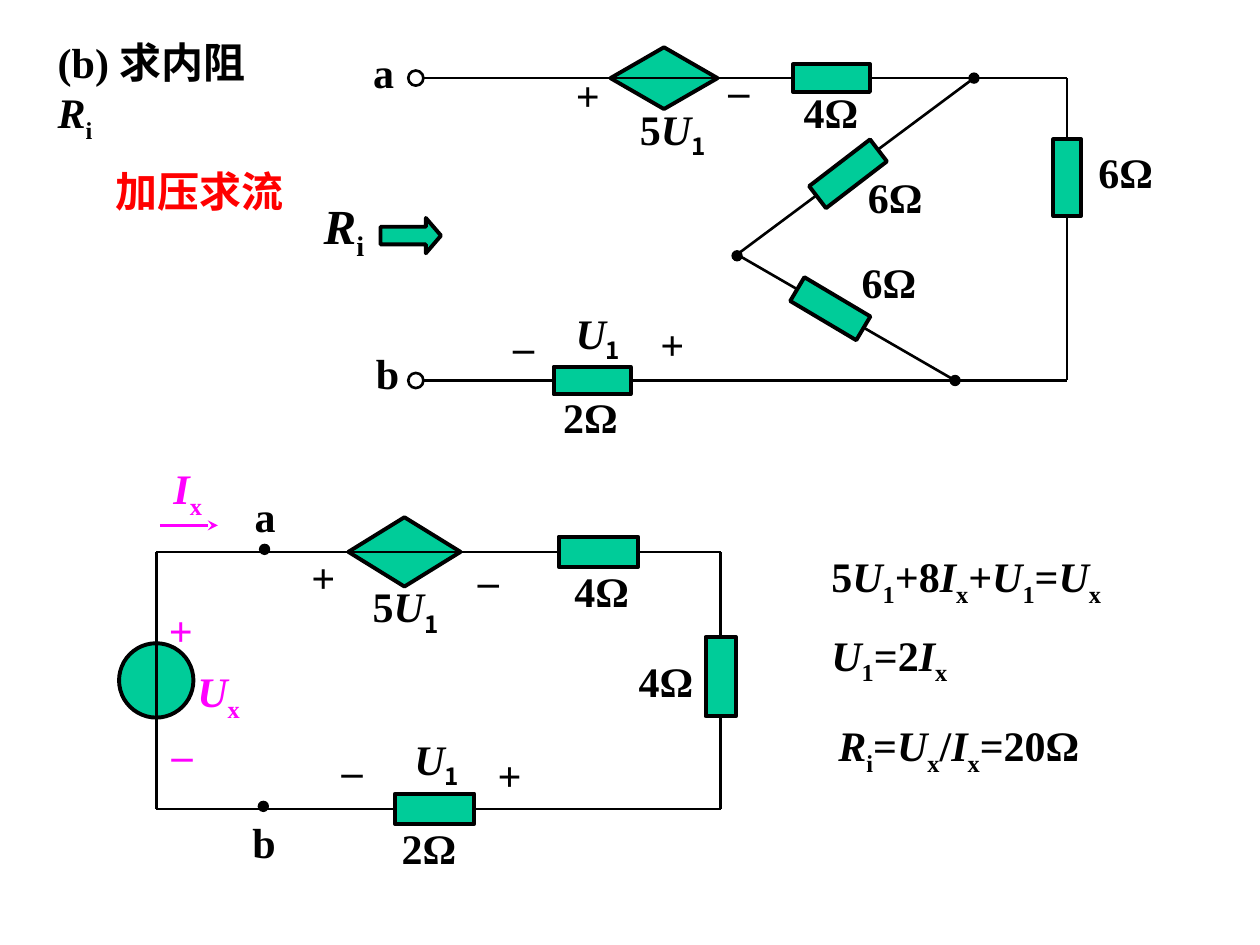
from itertools import groupby

from lxml import etree
from pptx import Presentation
from pptx.dml.color import RGBColor
from pptx.enum.shapes import MSO_CONNECTOR, MSO_SHAPE as SHAPE
from pptx.enum.text import MSO_ANCHOR, PP_ALIGN
from pptx.oxml.ns import qn
from pptx.util import Inches, Pt

BLACK = RGBColor(0, 0, 0)
RED = RGBColor(255, 0, 0)
MAGENTA = RGBColor(255, 0, 255)
GREEN = RGBColor(0, 204, 153)
SERIF, CJK = "Times New Roman", "Noto Sans CJK SC"
TOP, RIGHT, BOTTOM, LEFT = 0, 3, 2, 1  # connection sites of a rectangle

# Height levels of the two circuits and their outer columns
Y1, Y2, X_END = 0.62, 3.02, 8.47
Y3, Y4, X_START, X_END2 = 4.38, 6.42, 1.24, 5.72

# In the texts "_" lowers the next character; R, U and I are italic.
# Left aligned: text, left, top, width, height
HEADINGS = [
    (["(b) 求内阻\vR_i", "加压求流"], 0.36, 0.45, 2.04, 1.1),
    (["5U_1+8I_x+U_1=U_x", "U_1=2I_x"], 6.5, 4.36, 2.4, 1.1),
]
# Left aligned: text, left, top, width
VALUES = [
    ("2Ω", 4.37, 3.06, 0.72), ("4Ω", 6.28, 0.64, 0.77),
    ("6Ω", 6.79, 1.31, 0.73), ("6Ω", 6.74, 1.99, 0.78),
    ("6Ω", 8.62, 1.11, 0.83), ("5U_1", 4.98, 0.77, 0.78),
    ("U_1", 4.47, 2.39, 0.6),
    ("2Ω", 3.09, 6.48, 0.73), ("4Ω", 4.46, 4.44, 0.78),
    ("4Ω", 4.97, 5.15, 0.76), ("5U_1", 2.86, 4.56, 1.09),
    ("U_1", 3.19, 5.77, 0.61),
]
# Centred: text, left, top, width, colour
MARKS = [
    ("a", 2.86, 0.32, 0.37, BLACK), ("b", 2.88, 2.71, 0.39, BLACK),
    ("+", 4.47, 0.5, 0.39, BLACK), ("–", 5.68, 0.46, 0.37, BLACK),
    ("+", 5.14, 2.48, 0.39, BLACK), ("–", 3.97, 2.49, 0.37, BLACK),
    ("a", 1.92, 3.84, 0.37, BLACK), ("b", 1.9, 6.43, 0.39, BLACK),
    ("+", 2.37, 4.33, 0.39, BLACK), ("–", 3.69, 4.35, 0.37, BLACK),
    ("+", 3.85, 5.9, 0.39, BLACK), ("–", 2.61, 5.86, 0.37, BLACK),
    ("+", 1.24, 4.75, 0.39, MAGENTA), ("–", 1.26, 5.73, 0.37, MAGENTA),
    ("U_x", 1.46, 5.26, 0.55, MAGENTA), ("I_x", 1.27, 3.65, 0.44, MAGENTA),
    ("R_i=U_x/I_x=20Ω", 6.54, 5.69, 2.14, BLACK),
]
# Name: preset, centre x, centre y, width, height, rotation
PARTS = {
    "source 5U1": (SHAPE.DIAMOND, 5.27, Y1, 0.85, 0.49, 0),
    "top 4": (SHAPE.RECTANGLE, 6.6, Y1, 0.61, 0.22, 0),
    "right 6": (SHAPE.RECTANGLE, X_END, 1.41, 0.22, 0.61, 0),
    "bottom 2": (SHAPE.RECTANGLE, 4.7, Y2, 0.61, 0.22, 0),
    "upper slant 6": (SHAPE.RECTANGLE, 6.73, 1.38, 0.22, 0.61, 52.5),
    "lower slant 6": (SHAPE.RECTANGLE, 6.59, 2.45, 0.22, 0.61, 300.7),
    "Ri arrow": (SHAPE.RIGHT_ARROW, 3.26, 1.87, 0.48, 0.28, 0),
    "test source 5U1": (SHAPE.DIAMOND, 3.21, Y3, 0.89, 0.55, 0),
    "test top 4": (SHAPE.RECTANGLE, 4.75, Y3, 0.63, 0.24, 0),
    "test right 4": (SHAPE.RECTANGLE, X_END2, 5.37, 0.24, 0.63, 0),
    "test bottom 2": (SHAPE.RECTANGLE, 3.45, Y4, 0.63, 0.24, 0),
    "test voltage": (SHAPE.OVAL, X_START, 5.4, 0.59, 0.59, 0),
}
NODES = [(7.73, Y1), (5.85, 2.03), (7.58, Y2), (2.1, 4.36), (2.09, 6.4)]
TERMINALS = [(3.3, Y1), (3.3, Y2)]
SLANTED_WIRES = [((7.73, Y1), (5.85, 2.02)), ((5.85, 2.02), (7.58, Y2))]
# An end is a point or a part with its connection site
WIRES = [
    ((3.36, Y1), ("top 4", LEFT)), (("top 4", RIGHT), (X_END, Y1)),
    ((X_END, Y1), ("right 6", TOP)), (("right 6", BOTTOM), (X_END, Y2)),
    ((3.36, Y2), ("bottom 2", LEFT)), (("bottom 2", RIGHT), (X_END, Y2)),
    ((X_START, Y3), ("test top 4", LEFT)),
    (("test top 4", RIGHT), (X_END2, Y3)),
    ((X_END2, Y3), ("test right 4", TOP)),
    (("test right 4", BOTTOM), (X_END2, Y4)),
    ((X_START, Y4), ("test bottom 2", LEFT)),
    (("test bottom 2", RIGHT), (X_END2, Y4)),
    ((X_START, Y3), (X_START, Y4)),
]

prs = Presentation()
prs.slide_width, prs.slide_height = Inches(10), Inches(7.5)
shapes = prs.slides.add_slide(prs.slide_layouts[6]).shapes
parts = {}


def add_runs(p, text, size, color, sub_font):
    """Add text as bold runs, with italic symbols and lowered indices."""
    styled = [(c, i > 0 and text[i - 1] == "_") for i, c in enumerate(text) if c != "_"]
    for (sub, italic, is_break), chars in groupby(
            styled, lambda s: (s[1], s[0] in "RUI", s[0] == "\v")):
        if is_break:
            p.add_line_break()
            continue
        r = p.add_run()
        r.text = "".join(c for c, _ in chars)
        r.font.size, r.font.bold, r.font.italic = Pt(size), True, italic
        r.font.color.rgb = color
        r.font.name = sub_font if sub else SERIF
        rpr = r.font._element
        etree.SubElement(rpr, qn("a:ea")).set("typeface", CJK)
        if sub:
            rpr.set("baseline", "-25000")


def add_text(lines, x, y, w, h=0.5, size=24, color=BLACK, sub_font=SERIF,
             centred=False, anchor=MSO_ANCHOR.MIDDLE):
    tf = shapes.add_textbox(Inches(x), Inches(y), Inches(w), Inches(h)).text_frame
    tf.word_wrap = not centred
    tf.vertical_anchor = anchor
    for i, line in enumerate(lines):
        p = tf.paragraphs[0] if i == 0 else tf.add_paragraph()
        if i:
            p.space_before = Pt(12)
        p.alignment = PP_ALIGN.CENTER if centred else PP_ALIGN.LEFT
        add_runs(p, line, size, color, sub_font)
    return tf


def add_part(kind, cx, cy, w, h, rotation=0, fill=GREEN, weight=2.25):
    s = shapes.add_shape(kind, Inches(cx - w / 2), Inches(cy - h / 2), Inches(w), Inches(h))
    s.rotation = rotation
    s.shadow.inherit = False
    if fill is None:
        s.fill.background()
    else:
        s.fill.solid()
        s.fill.fore_color.rgb = fill
    s.line.color.rgb = BLACK
    s.line.width = Pt(weight)
    return s


def add_wire(start, end, color=BLACK):
    points = [(0, 0) if isinstance(e[0], str) else e for e in (start, end)]
    c = shapes.add_connector(MSO_CONNECTOR.STRAIGHT,
                             *(Inches(v) for point in points for v in point))
    for e, connect in ((start, c.begin_connect), (end, c.end_connect)):
        if isinstance(e[0], str):
            connect(parts[e[0]], e[1])
    c.line.color.rgb = color
    c.line.width = Pt(1.5)
    etree.SubElement(c._element.spPr, qn("a:effectLst"))
    return c


for wire in SLANTED_WIRES:
    add_wire(*wire)
for name, part in PARTS.items():
    parts[name] = add_part(*part)
parts["Ri arrow"].adjustments[1] = 0.43
for wire in WIRES:
    add_wire(*wire)
for x, y in NODES:
    add_part(SHAPE.OVAL, x, y, 0.08, 0.08, fill=BLACK, weight=0.75)
for x, y in TERMINALS:
    add_part(SHAPE.OVAL, x, y, 0.12, 0.12, fill=None, weight=1.5)

current = add_wire((1.27, 4.17), (1.73, 4.17), MAGENTA)
etree.SubElement(current.line._get_or_add_ln(), qn("a:tailEnd")).set("type", "stealth")

title, _ = [add_text(*heading) for heading in HEADINGS]
method = title.paragraphs[1]
method._p.get_or_add_pPr().set("marL", str(Inches(0.46)))
method.runs[0].font.color.rgb = RED
add_text(["R_i"], 2.47, 1.5, 0.81, 0.57, size=28, anchor=MSO_ANCHOR.TOP)
for text, x, y, w in VALUES:
    add_text([text], x, y, w, sub_font=CJK, anchor=MSO_ANCHOR.TOP)
for text, x, y, w, color in MARKS:
    add_text([text], x, y, w, color=color, centred=True)

prs.save("out.pptx")
